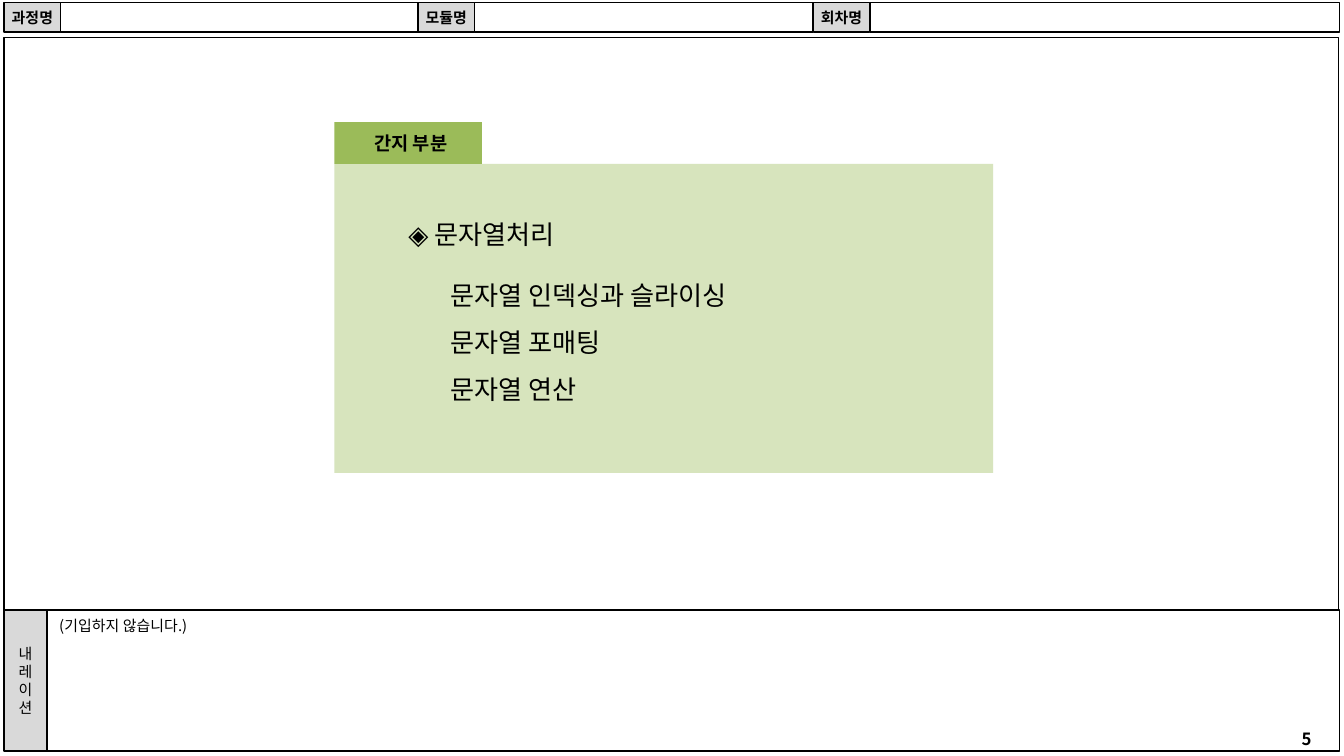
from itertools import pairwise

from lxml.etree import SubElement
from pptx import Presentation
from pptx.dml.color import RGBColor
from pptx.enum.shapes import MSO_SHAPE as Shape
from pptx.enum.text import MSO_ANCHOR as Anchor, MSO_AUTO_SIZE as AutoSize, PP_ALIGN as Align
from pptx.oxml.ns import qn
from pptx.util import Cm, Pt

COLORS = {
    "ink": "000000",
    "paper": "FFFFFF",
    "label": "D9D9D9",
    "tab": "9BBB59",
    "panel": "D7E4BD",
}
FONT = "Noto Sans CJK KR"


class Storyboard:
    """Holds the style and the current slide."""

    def __init__(self, slide):
        self.slide = slide

    def color(self, name):
        return RGBColor.from_string(COLORS[name])

    def set_text(self, shape, text, size, bold=False, align=Align.LEFT, anchor=Anchor.TOP,
                 wrap=True, insets=(0.25, 0.13, 0.25, 0.13), line_spacing=1.0):
        frame = shape.text_frame
        frame.text = text
        frame.auto_size = AutoSize.NONE
        frame.word_wrap = wrap
        frame.vertical_anchor = anchor
        (frame.margin_left, frame.margin_top,
         frame.margin_right, frame.margin_bottom) = map(Cm, insets)
        for paragraph in frame.paragraphs:
            paragraph.alignment = align
            paragraph.line_spacing = line_spacing
            paragraph.space_before = Pt(0)
            for run in paragraph.runs:
                run.font.size = Pt(size)
                run.font.bold = bold
                run.font.color.rgb = self.color("ink")
                run.font.name = FONT
                SubElement(run._r.get_or_add_rPr(), qn("a:ea"), typeface=FONT)

    def box(self, left, top, width, height, fill="paper", outlined=True):
        shape = self.slide.shapes.add_shape(
            Shape.RECTANGLE, Cm(left), Cm(top), Cm(width), Cm(height))
        shape.shadow.inherit = False
        shape.fill.solid()
        shape.fill.fore_color.rgb = self.color(fill)
        if outlined:
            shape.line.color.rgb = self.color("ink")
            shape.line.width = Pt(0.75)
        else:
            shape.line.fill.background()
        return shape

    def label(self, left, top, width, height, text, bold=False):
        shape = self.box(left, top, width, height, "label")
        self.set_text(shape, text, 8, bold, Align.CENTER, Anchor.MIDDLE, wrap=False)

    def text(self, left, top, width, height, text, size, **style):
        shape = self.slide.shapes.add_textbox(Cm(left), Cm(top), Cm(width), Cm(height))
        self.set_text(shape, text, size, **style)

    def placeholder(self, index, left, top, width, height, text, **style):
        """Fill a template placeholder, without bullets, above the shapes drawn so far."""
        shape = self.slide.placeholders[index]
        shape.left, shape.top, shape.width, shape.height = map(Cm, (left, top, width, height))
        self.slide.shapes._spTree.append(shape._element)
        self.set_text(shape, text, 14, wrap=False, **style)
        for paragraph in shape.text_frame.paragraphs:
            properties = paragraph._p.get_or_add_pPr()
            properties.set("marL", "0")
            properties.set("indent", "0")
            SubElement(properties, qn("a:buNone"))


def main():
    presentation = Presentation()
    presentation.slide_width, presentation.slide_height = Cm(25.4), Cm(14.29)
    board = Storyboard(presentation.slides.add_slide(presentation.slide_layouts[1]))

    board.box(0.08, 0.71, 25.22, 10.85)

    narration_top, narration_height = 11.53, 2.67
    board.box(0.61, narration_top, 24.71, narration_height)
    board.label(0.08, narration_top, 0.81, narration_height, "내\n레\n이\n션")

    label_width, header_top, header_height = 1.07, 0.05, 0.56
    header_edges = pairwise([0.08, 7.9, 15.37, 25.32])
    for name, (left, right) in zip(["과정명", "모듈명", "회차명"], header_edges):
        field_left = left + label_width
        board.box(field_left, header_top, right - field_left, header_height)
        board.label(left, header_top, label_width, header_height, name, bold=True)

    board.text(24.1, 13.64, 1.19, 0.64, "5", 9, bold=True, align=Align.CENTER)

    panel_left, panel_top, tab_height = 6.32, 3.1, 0.79
    board.box(panel_left, panel_top, 12.45, 5.84, "panel", outlined=False)
    board.placeholder(0, 7.47, 3.99, 3.45, 0.86, "◈ 문자열처리")
    board.placeholder(1, 8.26, 4.85, 5.94, 2.84,
                      "문자열 인덱싱과 슬라이싱\n문자열 포매팅\n문자열 연산", line_spacing=1.5)
    board.text(0.89, 11.56, 24.43, 2.62, "(기입하지 않습니다.)", 8,
               insets=(0.23, 0.1, 0.23, 0.1))
    tab = board.box(panel_left, panel_top - tab_height, 2.79, tab_height, "tab", outlined=False)
    board.set_text(tab, "간지 부분", 10, True, Align.CENTER, Anchor.MIDDLE,
                   insets=(0.2, 0.1, 0.1, 0.1))

    presentation.save("out.pptx")


if __name__ == "__main__":
    main()
